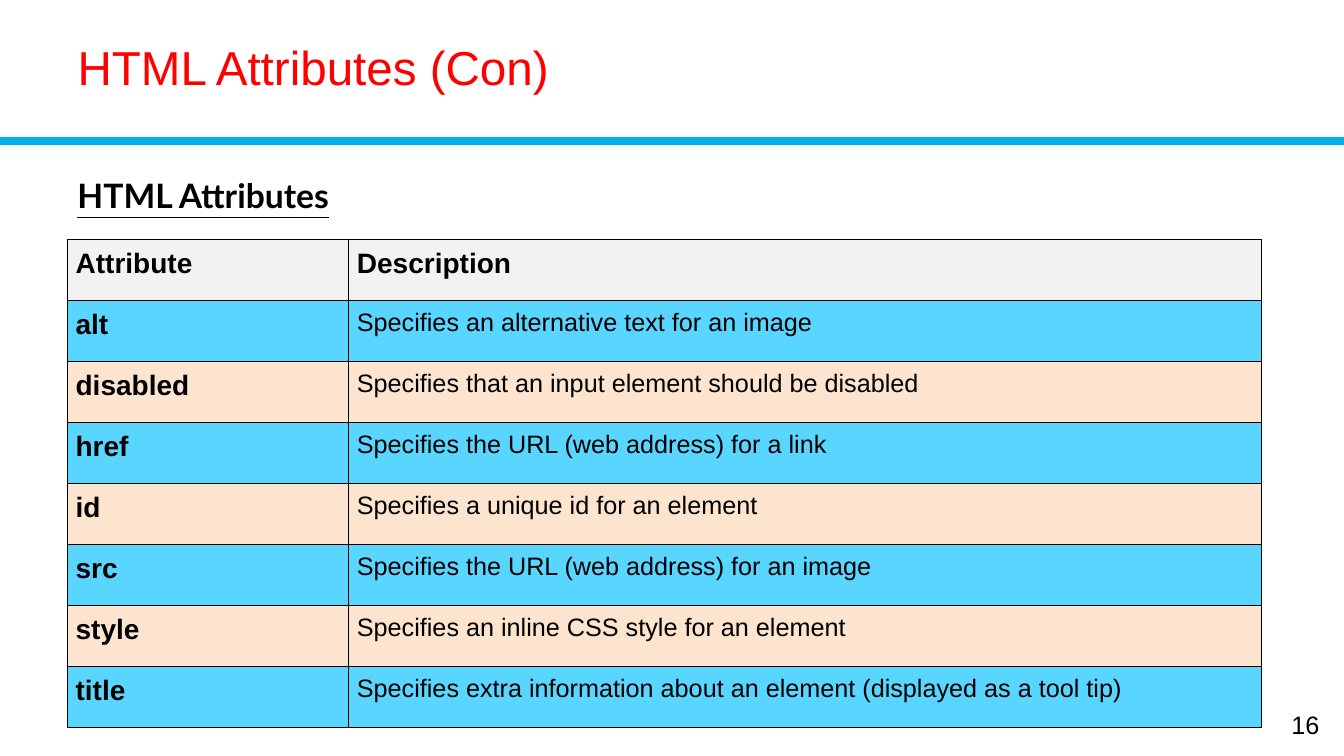
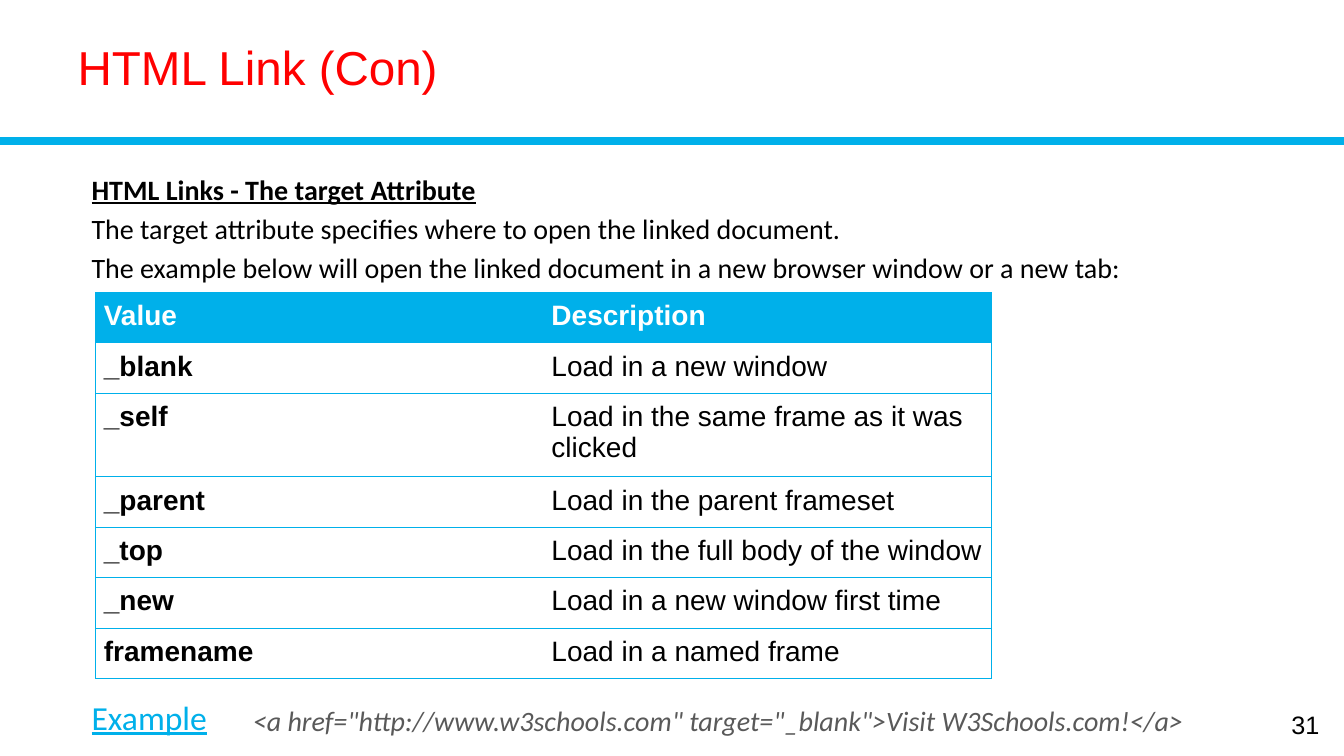
import pptx
import pptx.util
import pptx.dml.color
import pptx.enum.shapes
import pptx.enum.text
import pptx.oxml
import pptx.oxml.ns
from pptx.util import Inches

BLACK, WHITE, RED = "000000", "FFFFFF", "FF0000"
CYAN, SKY, PEACH, PALE, GREY = "00B0EA", "59D6FF", "FCE4CF", "F2F2F2", "595959"

ATTRIBUTES = [
    ("Attribute", "Description"),
    ("alt", "Specifies an alternative text for an image"),
    ("disabled", "Specifies that an input element should be disabled"),
    ("href", "Specifies the URL (web address) for a link"),
    ("id", "Specifies a unique id for an element"),
    ("src", "Specifies the URL (web address) for an image"),
    ("style", "Specifies an inline CSS style for an element"),
    ("title", "Specifies extra information about an element (displayed as a tool tip)"),
]
TARGETS = [
    ("Value", "Description"),
    ("_blank", "Load in a new window"),
    ("_self", "Load in the same frame as it was clicked"),
    ("_parent", "Load in the parent frameset"),
    ("_top", "Load in the full body of the window"),
    ("_new", "Load in a new window first time"),
    ("framename", "Load in a named frame"),
]
TARGET_INTRO = [
    ("HTML Links - The target Attribute", dict(bold=True, underline=True)),
    ("The target attribute specifies where to open the linked document.", {}),
    ("The example below will open the linked document in a new browser window or a new tab:", {}),
]
LINK_CODE = '<a href="http://www.w3schools.com" target="_blank">Visit W3Schools.com!</a>'


def rgb(color):
    return pptx.dml.color.RGBColor.from_string(color)


def put(p, text, size=20, font="Arial", color=BLACK, bold=False, italic=False, underline=False):
    r = p.add_run()
    r.text = text
    r.font.size = pptx.util.Pt(size)
    r.font.name = font
    r.font.color.rgb = rgb(color)
    r.font.bold, r.font.italic, r.font.underline = bold, italic, underline


def add_text(slide, box, lines, **style):
    tf = slide.shapes.add_textbox(*map(Inches, box)).text_frame
    tf.word_wrap = True
    for i, (text, extra) in enumerate(lines):
        p = tf.add_paragraph() if i else tf.paragraphs[0]
        if i:
            p.space_before = pptx.util.Pt(4)
        put(p, text, **{**style, **extra})


def set_borders(cell, sides, color, width):
    tcPr = cell._tc.get_or_add_tcPr()
    for side in "LRTB":
        fill = f'<a:solidFill><a:srgbClr val="{color}"/></a:solidFill>' if side in sides else "<a:noFill/>"
        tcPr.append(pptx.oxml.parse_xml(
            f'<a:ln{side} {pptx.oxml.ns.nsdecls("a")} w="{pptx.util.Pt(width)}">{fill}</a:ln{side}>'))


def add_table(slide, left, top, widths, heights, rows, fills, head_color, text_size, line, inner=True):
    box = map(Inches, (left, top, sum(widths), sum(heights)))
    table = slide.shapes.add_table(len(rows), len(widths), *box).table
    table.first_row = table.horz_banding = False
    for column, width in zip(table.columns, widths):
        column.width = Inches(width)
    for i, (row, height) in enumerate(zip(rows, heights)):
        table.rows[i].height = Inches(height)
        for j, text in enumerate(row):
            cell = table.cell(i, j)
            cell.margin_left = cell.margin_right = Inches(0.08)
            cell.margin_top = cell.margin_bottom = Inches(0.08)
            set_borders(cell, "LRTB" if inner else "TB" + "LR"[j], *line)
            cell.fill.solid()
            cell.fill.fore_color.rgb = rgb(fills[i])
            plain = i > 0 and j > 0
            put(cell.text_frame.paragraphs[0], text, size=text_size if plain else 20,
                color=BLACK if i else head_color, bold=not plain)


def set_up_layout(layout, slide):
    title = layout.placeholders[0]
    title.left, title.top, title.width, title.height = map(Inches, (0.67, 0.14, 12.02, 1.11))
    title.text_frame.vertical_anchor = pptx.enum.text.MSO_ANCHOR.MIDDLE
    for sp in list(layout.placeholders)[1:]:
        sp.element.getparent().remove(sp.element)
    band = slide.shapes.add_connector(
        pptx.enum.shapes.MSO_CONNECTOR.STRAIGHT, *map(Inches, (0, 1.4, 13.33, 1.4)))
    band.line.color.rgb = rgb(CYAN)
    band.line.width = pptx.util.Pt(6)
    band.element.spPr.append(pptx.oxml.parse_xml(f'<a:effectLst {pptx.oxml.ns.nsdecls("a")}/>'))
    layout.shapes.element.append(band.element)


def add_slide(prs, title, number):
    layout = prs.slide_layouts[5]
    slide = prs.slides.add_slide(layout)
    if len(prs.slides) == 1:
        set_up_layout(layout, slide)
    p = slide.shapes.title.text_frame.paragraphs[0]
    p.alignment = pptx.enum.text.PP_ALIGN.LEFT
    p.line_spacing = 0.9
    put(p, title, size=34, color=RED)
    add_text(slide, (12.71, 6.99, 0.51, 0.4), [(number, {})], size=18)
    return slide


def main():
    prs = pptx.Presentation()
    prs.slide_width, prs.slide_height = Inches(13.33), Inches(7.5)

    slide = add_slide(prs, "HTML Attributes (Con)", "16")
    add_text(slide, (0.67, 1.69, 2.84, 0.5), [("HTML Attributes", {})],
             size=24, font="Lato", bold=True, underline=True)
    count = len(ATTRIBUTES)
    fills = [PALE] + [SKY if i % 2 else PEACH for i in range(1, count)]
    add_table(slide, 0.67, 2.38, (2.79, 9.05), [4.84 / count] * count, ATTRIBUTES,
              fills, BLACK, 18, (BLACK, 1))

    slide = add_slide(prs, "HTML Link (Con)", "31")
    add_text(slide, (0.81, 1.66, 11.73, 1.25), TARGET_INTRO, font="Calibri")
    add_text(slide, (0.81, 6.86, 1.43, 0.5), [("Example", {})],
             size=24, font="Calibri", color=CYAN, underline=True)
    add_text(slide, (2.41, 6.93, 10.57, 0.44), [(LINK_CODE, {})],
             font="Calibri", color=GREY, italic=True)
    heights = [0.83 if text.endswith("clicked") else 0.5 for _, text in TARGETS]
    add_table(slide, 0.95, 2.9, (4.44, 4.44), heights, TARGETS,
              [CYAN] + [WHITE] * (len(TARGETS) - 1), WHITE, 20, (CYAN, 0.5), inner=False)

    prs.save("out.pptx")


if __name__ == "__main__":
    main()
